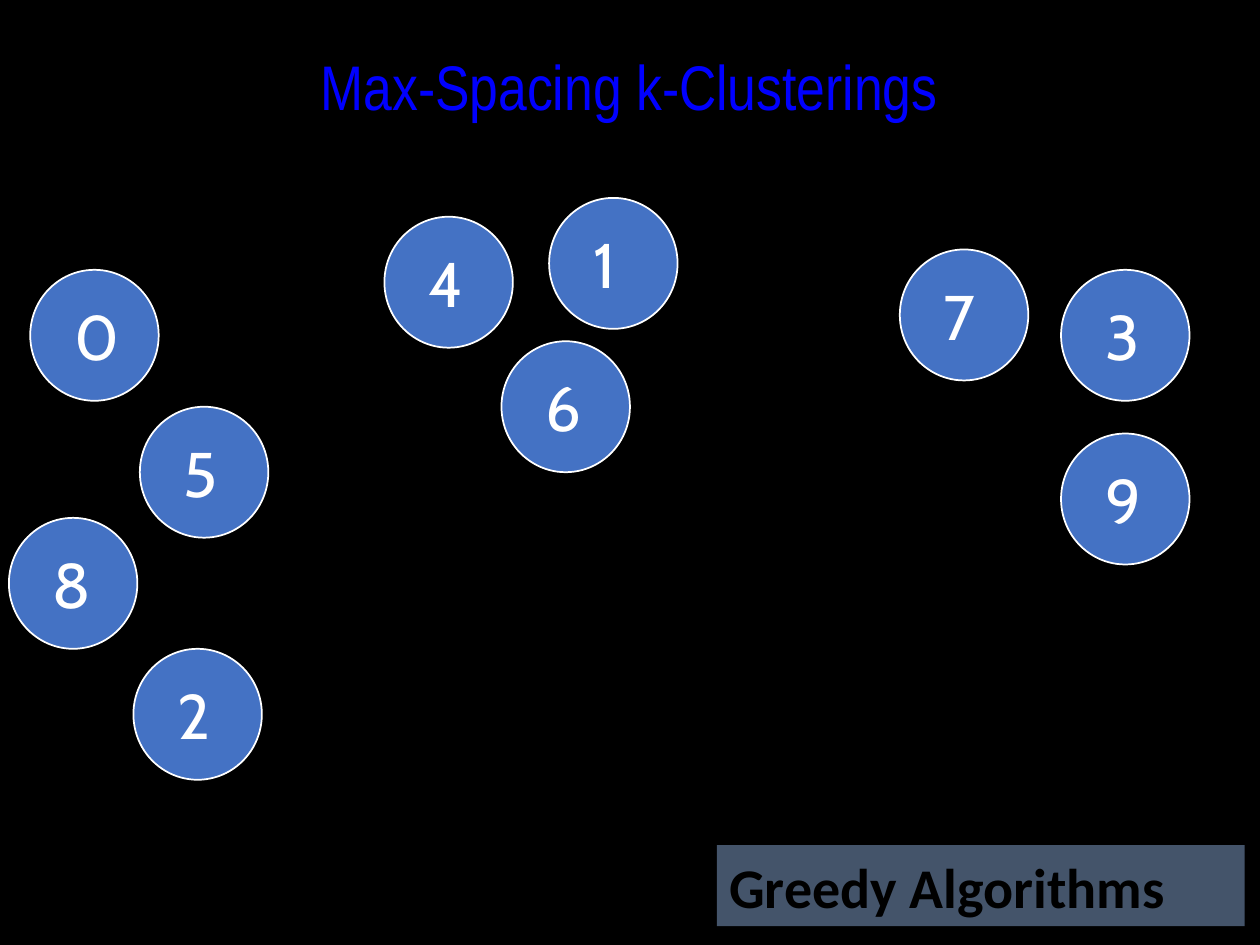
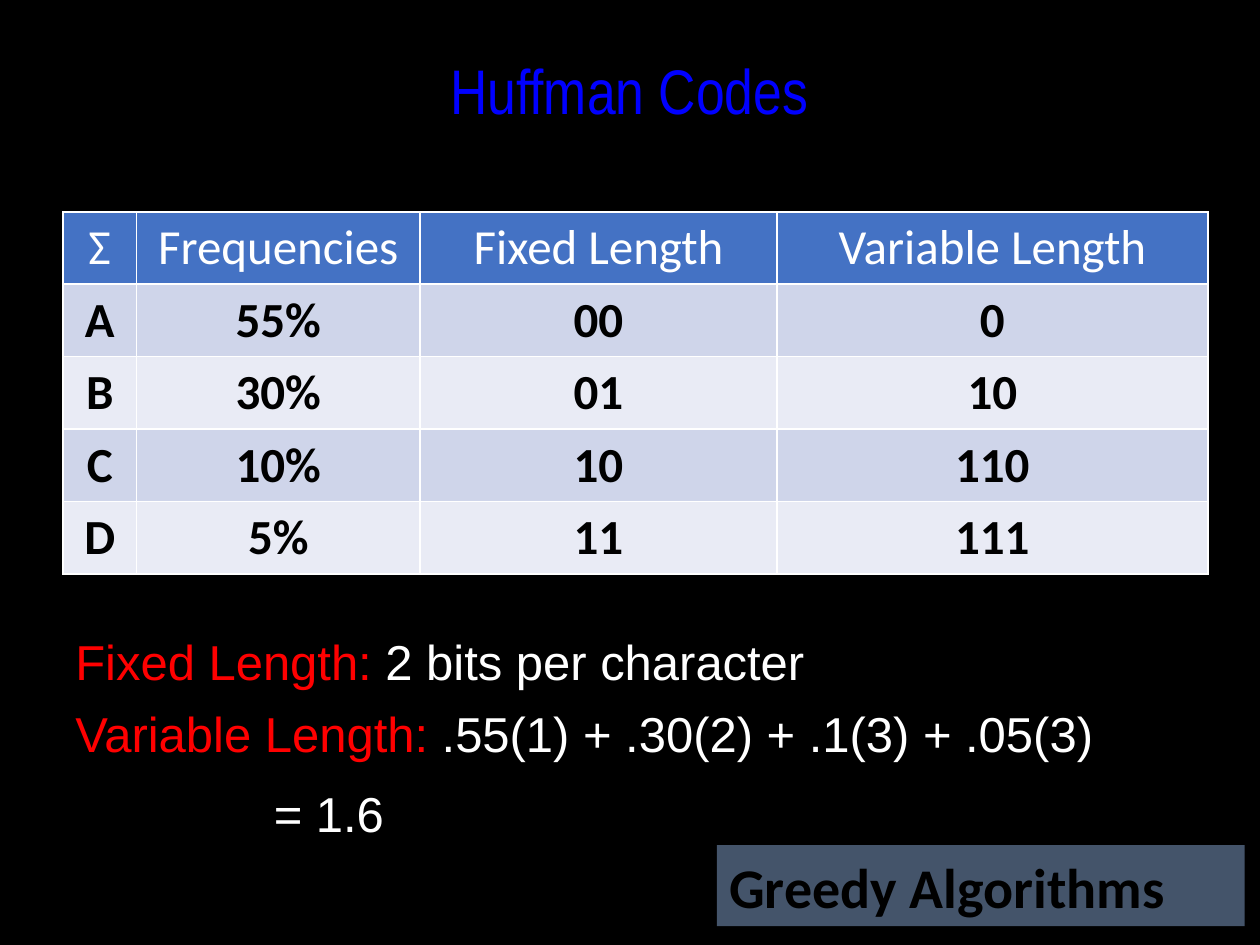
from lxml.etree import SubElement
from pptx import Presentation
from pptx.dml.color import RGBColor
from pptx.enum.shapes import MSO_SHAPE
from pptx.enum.text import MSO_ANCHOR, PP_ALIGN
from pptx.oxml.ns import qn
from pptx.util import Cm, Pt

BLACK = RGBColor(0x00, 0x00, 0x00)
WHITE = RGBColor(0xFF, 0xFF, 0xFF)
RED = RGBColor(0xFF, 0x00, 0x00)
TITLE_BLUE = RGBColor(0x00, 0x00, 0xFF)
ACCENT_BLUE = RGBColor(0x44, 0x72, 0xC4)
SLATE = RGBColor(0x44, 0x54, 0x6A)
ROW_FILLS = (RGBColor(0xCF, 0xD5, 0xEA), RGBColor(0xE9, 0xEB, 0xF5))

NODE_WIDTH, NODE_HEIGHT = 2.59, 2.64

# Each cluster: left, top, then (label, x, y) of its nodes inside it
CLUSTERS = [
    (0.18, 5.44, [("0", 0.43, 0), ("5", 2.64, 2.76), ("8", 0, 5), ("2", 2.51, 7.64)]),
    (18.14, 5.03, [("7", 0, 0), ("3", 3.25, 0.41), ("9", 3.25, 3.71)]),
    (7.75, 3.99, [("4", 0, 0.38), ("1", 3.32, 0), ("6", 2.36, 2.89)]),
]

CODE_COLUMNS = (1.48, 5.72, 7.19, 8.69)
CODE_ROW_HEIGHT = 1.46
CODES = [
    ("Σ", "Frequencies", "Fixed Length", "Variable Length"),
    ("A", "55%", "00", "0"),
    ("B", "30%", "01", "10"),
    ("C", "10%", "10", "110"),
    ("D", "5%", "11", "111"),
]

# Label, value, space before in points, indent in cm
CODE_LENGTHS = [
    ("Fixed Length:", " 2 bits per character", 0, 0),
    ("Variable Length:", " .55(1) + .30(2) + .1(3) + .05(3)", 7.5, 0),
    ("", "= 1.6", 12.5, 4),
]


def set_font(p, name, size, color, bold=False):
    p.font.name = name
    p.font.size = Pt(size)
    p.font.color.rgb = color
    p.font.bold = bold


def add_filled_shape(s, kind, left, top, width, height, color):
    sp = s.shapes.add_shape(kind, Cm(left), Cm(top), Cm(width), Cm(height))
    sp.shadow.inherit = False
    sp.fill.solid()
    sp.fill.fore_color.rgb = color
    sp.line.fill.background()
    sp.text_frame.vertical_anchor = MSO_ANCHOR.MIDDLE
    sp.text_frame.paragraphs[0].alignment = PP_ALIGN.LEFT
    return sp


def add_footer(s, left, top, width, height):
    sp = add_filled_shape(s, MSO_SHAPE.RECTANGLE, left, top, width, height, SLATE)
    p = sp.text_frame.paragraphs[0]
    p.text = "Greedy Algorithms"
    set_font(p, "Calibri", 32, BLACK, bold=True)


def add_title(s, text, left, top, width, height):
    tf = s.shapes.add_textbox(Cm(left), Cm(top), Cm(width), Cm(height)).text_frame
    tf.word_wrap = True
    p = tf.paragraphs[0]
    p.text = text
    p.alignment = PP_ALIGN.CENTER
    set_font(p, "Arial Narrow", 36, TITLE_BLUE)


def add_titled_slide(prs, title, title_top):
    s = prs.slides.add_slide(prs.slide_layouts[6])
    add_footer(s, 14.45, 17.04, 10.64, 1.63)
    add_title(s, title, 4.01, title_top, 17.35, 2.34)
    return s


def add_cluster(s, left, top, nodes):
    for label, x, y in nodes:
        sp = add_filled_shape(s, MSO_SHAPE.OVAL, left + x, top + y,
                              NODE_WIDTH, NODE_HEIGHT, ACCENT_BLUE)
        sp.line.color.rgb = WHITE
        sp.line.width = Pt(1)
        tf = sp.text_frame
        tf.margin_left, tf.margin_right = Cm(0.51), 0
        p = tf.paragraphs[0]
        p.text = label
        set_font(p, "Cabin", 36, WHITE)


def add_cell_borders(cell, color, width):
    tc_pr = cell._tc.get_or_add_tcPr()
    for side in ("a:lnL", "a:lnR", "a:lnT", "a:lnB"):
        ln = SubElement(tc_pr, qn(side), w=str(Pt(width)))
        fill = SubElement(ln, qn("a:solidFill"))
        SubElement(fill, qn("a:srgbClr"), val=str(color))


def add_code_table(s, left, top):
    table = s.shapes.add_table(
        len(CODES), len(CODE_COLUMNS), Cm(left), Cm(top),
        Cm(sum(CODE_COLUMNS)), Cm(CODE_ROW_HEIGHT * len(CODES))).table
    for column, width in zip(table.columns, CODE_COLUMNS):
        column.width = Cm(width)
    for i, row in enumerate(CODES):
        header = i == 0
        for j, text in enumerate(row):
            cell = table.cell(i, j)
            add_cell_borders(cell, WHITE, 1)
            cell.fill.solid()
            cell.fill.fore_color.rgb = ACCENT_BLUE if header else ROW_FILLS[(i - 1) % 2]
            p = cell.text_frame.paragraphs[0]
            p.text = text
            p.alignment = PP_ALIGN.CENTER
            set_font(p, "Calibri", 28, WHITE if header else BLACK, bold=not header)


def add_code_lengths(s, left, top, width, height):
    tf = s.shapes.add_textbox(Cm(left), Cm(top), Cm(width), Cm(height)).text_frame
    tf.word_wrap = True
    for i, (label, value, space, indent) in enumerate(CODE_LENGTHS):
        p = tf.add_paragraph() if i else tf.paragraphs[0]
        p.space_before = Pt(space)
        p._p.get_or_add_pPr().set("marL", str(Cm(indent)))
        set_font(p, "Arial", 28, WHITE)
        if label:
            r = p.add_run()
            r.text = label
            r.font.color.rgb = RED
        p.add_run().text = value


def build_clusterings_slide(prs):
    s = add_titled_slide(prs, "Max-Spacing k-Clusterings", 0.84)
    for left, top, nodes in CLUSTERS:
        add_cluster(s, left, top, nodes)


def build_huffman_slide(prs):
    s = add_titled_slide(prs, "Huffman Codes", 0.91)
    add_code_lengths(s, 1.27, 12.6, 23.06, 4.4)
    add_code_table(s, 1.27, 4.27)


def main():
    prs = Presentation()
    prs.slide_width, prs.slide_height = Cm(25.4), Cm(19.05)
    background = prs.slide_master.background.fill
    background.solid()
    background.fore_color.rgb = BLACK
    build_clusterings_slide(prs)
    build_huffman_slide(prs)
    prs.save("out.pptx")


if __name__ == "__main__":
    main()
